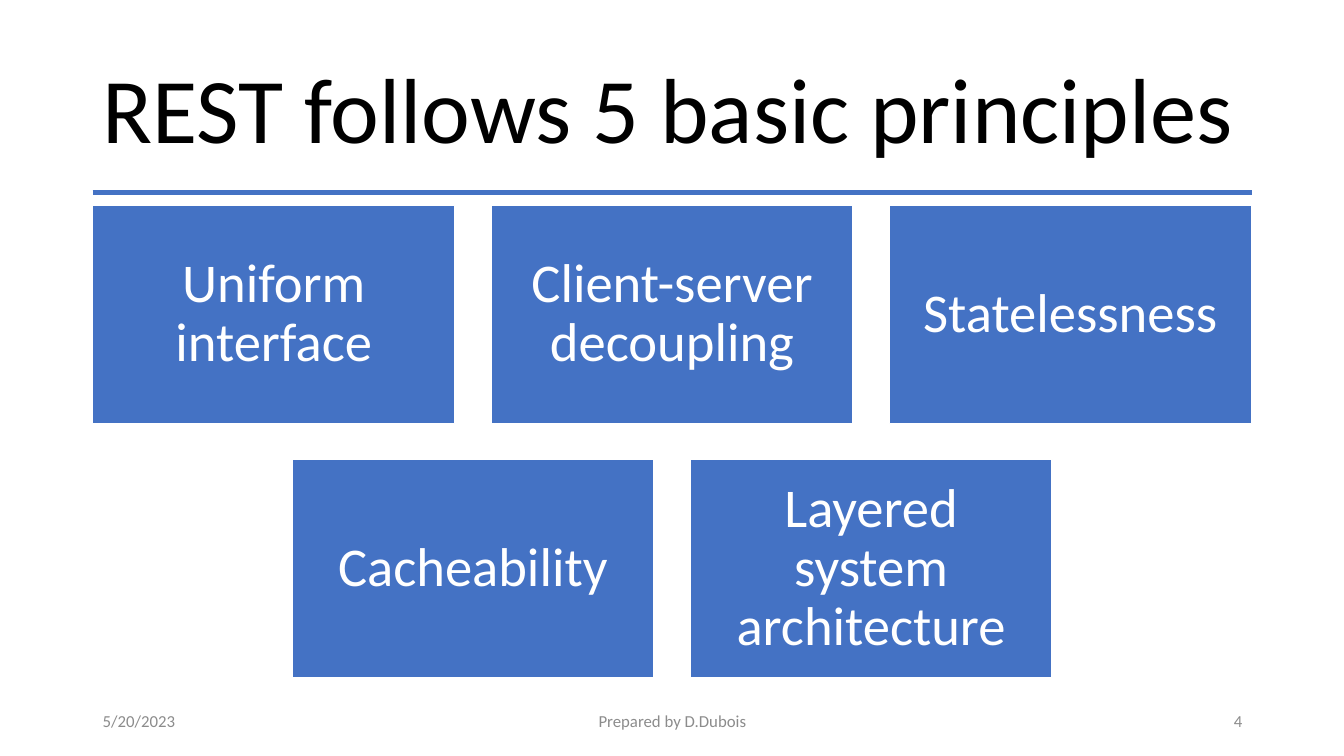
from dataclasses import dataclass

from lxml.etree import SubElement
from pptx import Presentation
from pptx.dml.color import RGBColor
from pptx.enum.shapes import MSO_CONNECTOR, MSO_SHAPE
from pptx.enum.text import MSO_ANCHOR, PP_ALIGN
from pptx.oxml.ns import qn
from pptx.shapes.autoshape import Shape
from pptx.slide import Slide
from pptx.util import Inches, Pt

# Page grid, in inches
MARGIN, CONTENT_WIDTH = 0.92, 11.5
CARD_WIDTH, CARD_HEIGHT = 3.59, 2.16
COLUMN_STEP, ROW_STEP = 3.95, 2.52
CARDS_TOP, CARD_INSET = 2.04, 0.16
RULE_Y = 1.91
FOOTER_TOP, FOOTER_HEIGHT = 6.95, 0.4

FONT = "Calibri"
BLUE, WHITE, BLACK, GRAY = "4472C4", "FFFFFF", "000000", "8C8C8C"


@dataclass(frozen=True)
class Principle:
    name: str
    column: float
    row: int


@dataclass(frozen=True)
class Label:
    text: str
    left: float
    top: float
    width: float
    height: float
    size: float
    color: str
    align: PP_ALIGN
    line_spacing: float = 1.0


PRINCIPLES = [
    Principle("Uniform interface", 0, 0),
    Principle("Client-server decoupling", 1, 0),
    Principle("Statelessness", 2, 0),
    Principle("Cacheability", 0.5, 1),
    Principle("Layered system architecture", 1.5, 1),
]


def footer(text: str, left: float, width: float, align: PP_ALIGN) -> Label:
    return Label(text, left, FOOTER_TOP, width, FOOTER_HEIGHT, 12, GRAY, align)


LABELS = [
    Label("REST follows 5 basic principles", MARGIN, 0.4, CONTENT_WIDTH, 1.45,
          66, BLACK, PP_ALIGN.LEFT, 0.9),
    footer("5/20/2023", MARGIN, 3, PP_ALIGN.LEFT),
    footer("Prepared by D.Dubois", 4.42, 4.5, PP_ALIGN.CENTER),
    footer("4", 9.42, 3, PP_ALIGN.RIGHT),
]


def rgb(color: str) -> RGBColor:
    return RGBColor.from_string(color)


def write(holder: Shape, text: str, size: float, color: str,
          align: PP_ALIGN, line_spacing: float) -> None:
    frame = holder.text_frame
    frame.text = text
    frame.word_wrap = True
    frame.vertical_anchor = MSO_ANCHOR.MIDDLE
    paragraph = frame.paragraphs[0]
    paragraph.alignment = align
    paragraph.line_spacing = line_spacing
    font = paragraph.runs[0].font
    font.name, font.size = FONT, Pt(size)
    font.color.rgb = rgb(color)


def draw_label(slide: Slide, label: Label) -> None:
    holder = slide.shapes.add_textbox(Inches(label.left), Inches(label.top),
                                      Inches(label.width), Inches(label.height))
    write(holder, label.text, label.size, label.color, label.align, label.line_spacing)


def draw_principle(slide: Slide, principle: Principle) -> None:
    card = slide.shapes.add_shape(
        MSO_SHAPE.RECTANGLE,
        Inches(MARGIN + principle.column * COLUMN_STEP),
        Inches(CARDS_TOP + principle.row * ROW_STEP),
        Inches(CARD_WIDTH), Inches(CARD_HEIGHT))
    card.shadow.inherit = False
    card.fill.solid()
    card.fill.fore_color.rgb = rgb(BLUE)
    card.line.color.rgb = rgb(WHITE)
    card.line.width = Pt(1)
    frame = card.text_frame
    frame.margin_left = frame.margin_right = Inches(CARD_INSET)
    frame.margin_top = frame.margin_bottom = Inches(CARD_INSET)
    write(card, principle.name, 39, WHITE, PP_ALIGN.CENTER, 0.9)


def draw_title_rule(slide: Slide) -> None:
    rule = slide.shapes.add_connector(
        MSO_CONNECTOR.STRAIGHT, Inches(MARGIN), Inches(RULE_Y),
        Inches(MARGIN + CONTENT_WIDTH), Inches(RULE_Y))
    rule.line.color.rgb = rgb(BLUE)
    rule.line.width = Pt(3)
    SubElement(rule.element.spPr, qn("a:effectLst"))


def main() -> None:
    deck = Presentation()
    deck.slide_width, deck.slide_height = Inches(13.33), Inches(7.5)
    slide = deck.slides.add_slide(deck.slide_layouts[6])

    # Rule under the title
    draw_title_rule(slide)

    # Principle cards, the second row shifted by half a column
    for principle in PRINCIPLES:
        draw_principle(slide, principle)

    # Title and footer
    for label in LABELS:
        draw_label(slide, label)

    deck.save("out.pptx")


if __name__ == "__main__":
    main()
